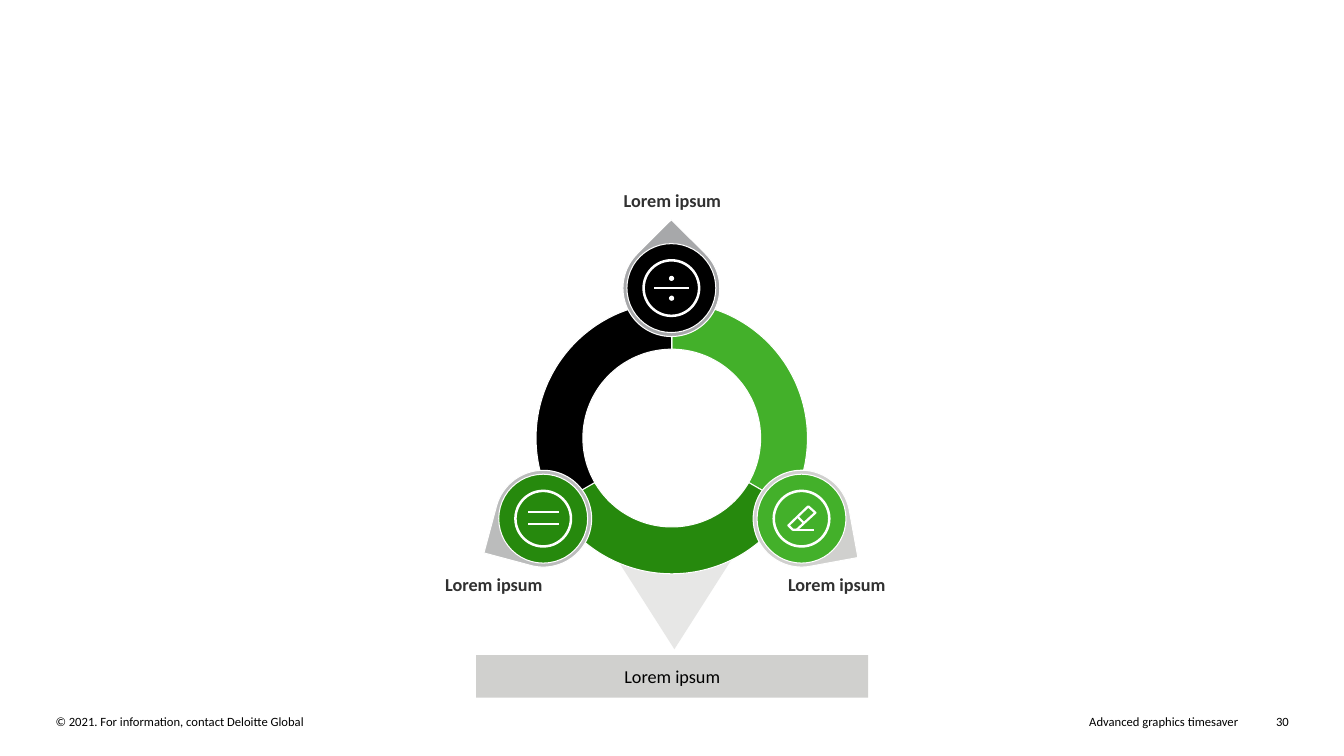
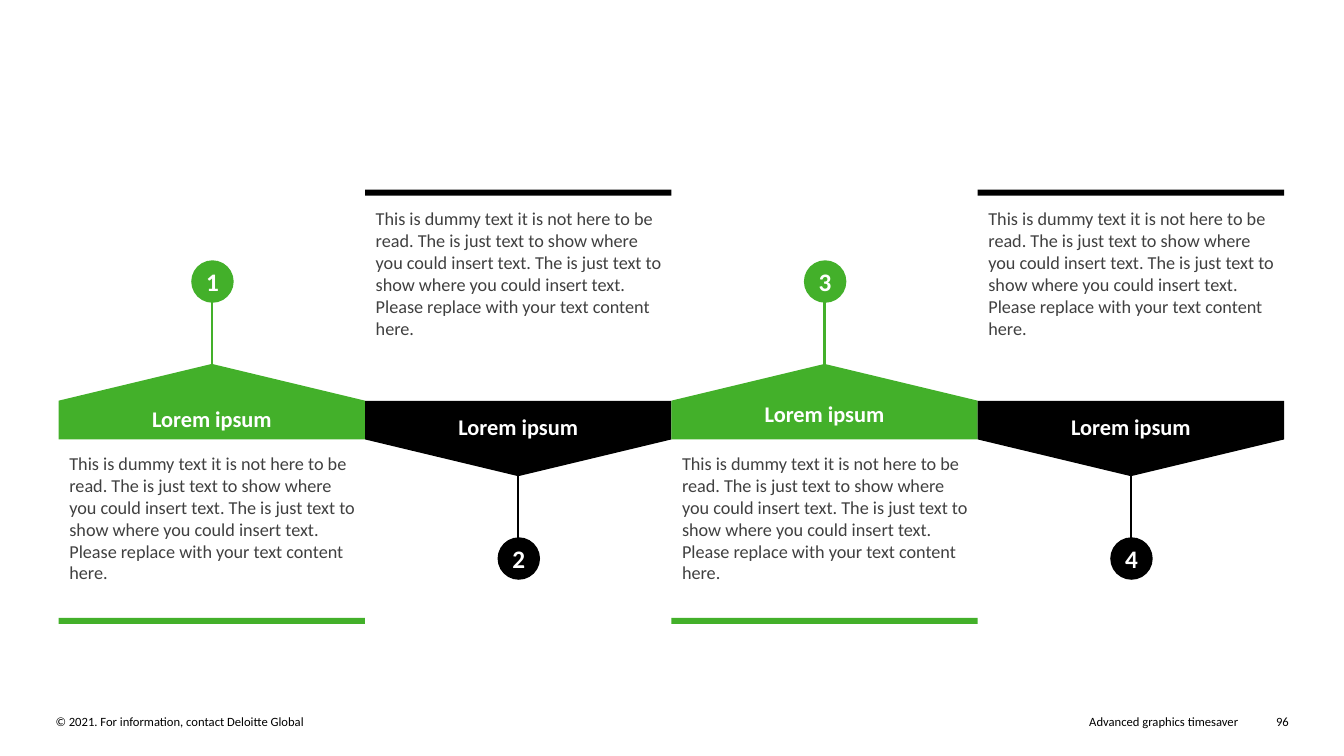
from dataclasses import dataclass
from math import cos, radians, sin

from lxml.etree import SubElement
from pptx import Presentation
from pptx.dml.color import RGBColor
from pptx.enum.shapes import MSO_CONNECTOR, MSO_SHAPE
from pptx.enum.text import PP_ALIGN
from pptx.oxml.ns import qn
from pptx.util import Cm, Pt


@dataclass(frozen=True)
class Theme:
    font: str = "Calibri"
    black: str = "000000"
    white: str = "FFFFFF"
    green: str = "43B02A"
    forest: str = "26890D"
    steel: str = "A7A8AA"
    silver: str = "BBBCBC"
    pale: str = "D0D0CE"
    label: str = "313131"
    body: str = "404040"
    small: int = 9
    normal: int = 13
    head: int = 16
    number: int = 18


T = Theme()
LINE = MSO_CONNECTOR.STRAIGHT
LEFT, MID, RIGHT = PP_ALIGN.LEFT, PP_ALIGN.CENTER, PP_ALIGN.RIGHT


def draw(slide, kind, x, y, w, h, fill=None, line=None, width=0.75, turn=0):
    """Add a preset shape, a line from (x, y) spanning (w, h), or an
    outline given as a list of points around (x, y), scaled by (w, h)."""
    if isinstance(kind, MSO_CONNECTOR):
        item = slide.shapes.add_connector(kind, Cm(x), Cm(y), Cm(x + w), Cm(y + h))
    else:
        if isinstance(kind, list):
            dots = [(Cm(x + w * dx), Cm(y + h * dy)) for dx, dy in kind]
            pen = slide.shapes.build_freeform(*dots[0], scale=1.0)
            pen.add_line_segments(dots[1:], close=True)
            item = pen.convert_to_shape()
        else:
            item = slide.shapes.add_shape(kind, Cm(x), Cm(y), Cm(w), Cm(h))
        item.shadow.inherit = False
        item.rotation = turn
        if fill:
            item.fill.solid()
            item.fill.fore_color.rgb = RGBColor.from_string(fill)
        else:
            item.fill.background()
    if line:
        item.line.color.rgb = RGBColor.from_string(line)
        item.line.width = Pt(width)
    else:
        item.line.fill.background()
    if isinstance(kind, MSO_CONNECTOR):
        SubElement(item._element.spPr, qn("a:effectLst"))
    return item


def write(shape, text, size, color, align=LEFT, bold=False, pad=(0, 0), wrap=True):
    """Put one formatted paragraph in a shape or text box."""
    frame = shape.text_frame
    frame.word_wrap = wrap
    frame.margin_left = frame.margin_right = Cm(pad[0])
    frame.margin_top = frame.margin_bottom = Cm(pad[1])
    para = frame.paragraphs[0]
    para.text = text
    para.alignment = align
    para.font.name = T.font
    para.font.size = Pt(size)
    para.font.bold = bold
    para.font.color.rgb = RGBColor.from_string(color)


deck = Presentation()
deck.slide_width, deck.slide_height = Cm(33.87), Cm(19.05)

# Slides with their shared footer
slides = []
for page in ("30", "96"):
    slide = deck.slides.add_slide(deck.slide_layouts[6])
    slides.append(slide)
    for text, x, w, align in (
        ("© 2021. For information, contact Deloitte Global", 1.4, 14.88, LEFT),
        ("Advanced graphics timesaver", 17.61, 13.59, RIGHT),
        (page, 31.62, 0.86, RIGHT),
    ):
        box = slide.shapes.add_textbox(Cm(x), Cm(17.98), Cm(w), Cm(0.38))
        write(box, text, T.small, T.black, align)
ring, steps = slides

# Pointer below the ring
tip = draw(ring, MSO_SHAPE.ISOSCELES_TRIANGLE, 15.05, 13.31, 3.89, 3.05, T.pale, turn=180)
tint = tip._element.spPr.find(qn("a:solidFill")).find(qn("a:srgbClr"))
SubElement(tint, qn("a:alpha"), val="50000")

# Ring of three equal arcs
for i, color in enumerate((T.green, T.forest, T.black)):
    sweep = [radians(120 * i - 90 + step) for step in range(0, 121, 2)]
    arc = [(3.42 * cos(a), 3.42 * sin(a)) for a in sweep]
    arc += [(2.24 * cos(a), 2.24 * sin(a)) for a in reversed(sweep)]
    draw(ring, arc, 16.93, 11.04, 1, 1, color, T.white, 0)

# Pins with icon rings, and their labels
top, west, east = (16.92, 7.26), (13.69, 13.07), (20.2, 13.07)
for (x, y), rim, color, turn, lx, ly, align in (
    (top, T.steel, T.black, 315, 15.7, 4.78, MID),
    (west, T.silver, T.forest, 195, 11.18, 14.45, RIGHT),
    (east, T.pale, T.green, 79.6, 19.86, 14.45, LEFT),
):
    for kind, size, fill, width, angle in (
        (MSO_SHAPE.TEAR, 2.44, rim, 0.75, turn),
        (MSO_SHAPE.OVAL, 2.24, color, 0.75, 0),
        (MSO_SHAPE.OVAL, 1.4, None, 1.8, 0),
    ):
        draw(ring, kind, x - size / 2, y - size / 2, size, size,
             fill, T.white, width, angle)
    box = ring.shapes.add_textbox(Cm(lx), Cm(ly), Cm(2.49), Cm(0.56))
    write(box, "Lorem ipsum", T.normal, T.label, align, True, wrap=False)

# Icon strokes, measured from the pin centres
for (x, y), dx, dy, w, h in (
    (top, -0.43, 0, 0.88, 0),
    (west, -0.38, -0.17, 0.77, 0),
    (west, -0.38, 0.14, 0.77, 0),
    (east, -0.09, -0.04, 0.14, 0.14),
    (east, -0.14, 0.28, 0.45, 0),
):
    draw(ring, LINE, x + dx, y + dy, w, h, line=T.white, width=1.6)
for dy in (-0.25, 0.25):
    draw(ring, MSO_SHAPE.OVAL, top[0] - 0.06, top[1] + dy - 0.06, 0.13, 0.13, T.white)

# Eraser outline
edge = [(0.17, -0.31), (0.35, -0.15), (-0.12, 0.28), (-0.22, 0.28), (-0.33, 0.17)]
draw(ring, edge, *east, 1, 1, line=T.white, width=1.6)

# Band at the foot of the ring
band = draw(ring, MSO_SHAPE.RECTANGLE, 12, 16.51, 9.88, 1.07, T.pale)
write(band, "Lorem ipsum", T.normal, T.black, MID, pad=(0.13, 0.25))

# Four steps, pointing up and down in turn
DUMMY = ("This is dummy text it is not here to be read. The is just text to show "
         "where you could insert text. The is just text to show where you could "
         "insert text. Please replace with your text content here.")
WIDE = 7.72
for i, head in enumerate((10.08, 10.29, 9.96, 10.29)):
    left = 1.48 + WIDE * i
    mid = left + WIDE / 2
    if i % 2 == 0:
        color, turn, plate, stem, dot, bar, body = (
            T.green, 270, 10.12, 7.49, 6.56, 15.57, 11.27)
    else:
        color, turn, plate, stem, dot, bar, body = (
            T.black, 90, 11.05, 11.56, 13.54, 4.78, 5.1)

    # Stem, number, arrow plate and bar
    draw(steps, LINE, mid, stem, 0, 2.13, line=color, width=1.5)
    disc = draw(steps, MSO_SHAPE.OVAL, mid - 0.52, dot, 1.07, 1.07, color)
    write(disc, str(i + 1), T.number, T.white, MID, True, wrap=False)
    arrow = draw(steps, MSO_SHAPE.PENTAGON, mid - 0.95, plate - WIDE / 2,
                 1.9, WIDE, color, turn=turn)
    arrow.adjustments[0] = 0.487
    draw(steps, MSO_SHAPE.RECTANGLE, left, bar, WIDE, 0.15, color)

    # Heading and body text
    box = steps.shapes.add_textbox(Cm(left + 0.61), Cm(head), Cm(6.5), Cm(0.94))
    write(box, "Lorem ipsum", T.head, T.white, MID, True, (0.25, 0.13))
    box = steps.shapes.add_textbox(Cm(left + 0.02), Cm(body), Cm(7.7), Cm(3.58))
    write(box, DUMMY, T.normal, T.body, pad=(0.25, 0.13))

deck.save("out.pptx")
